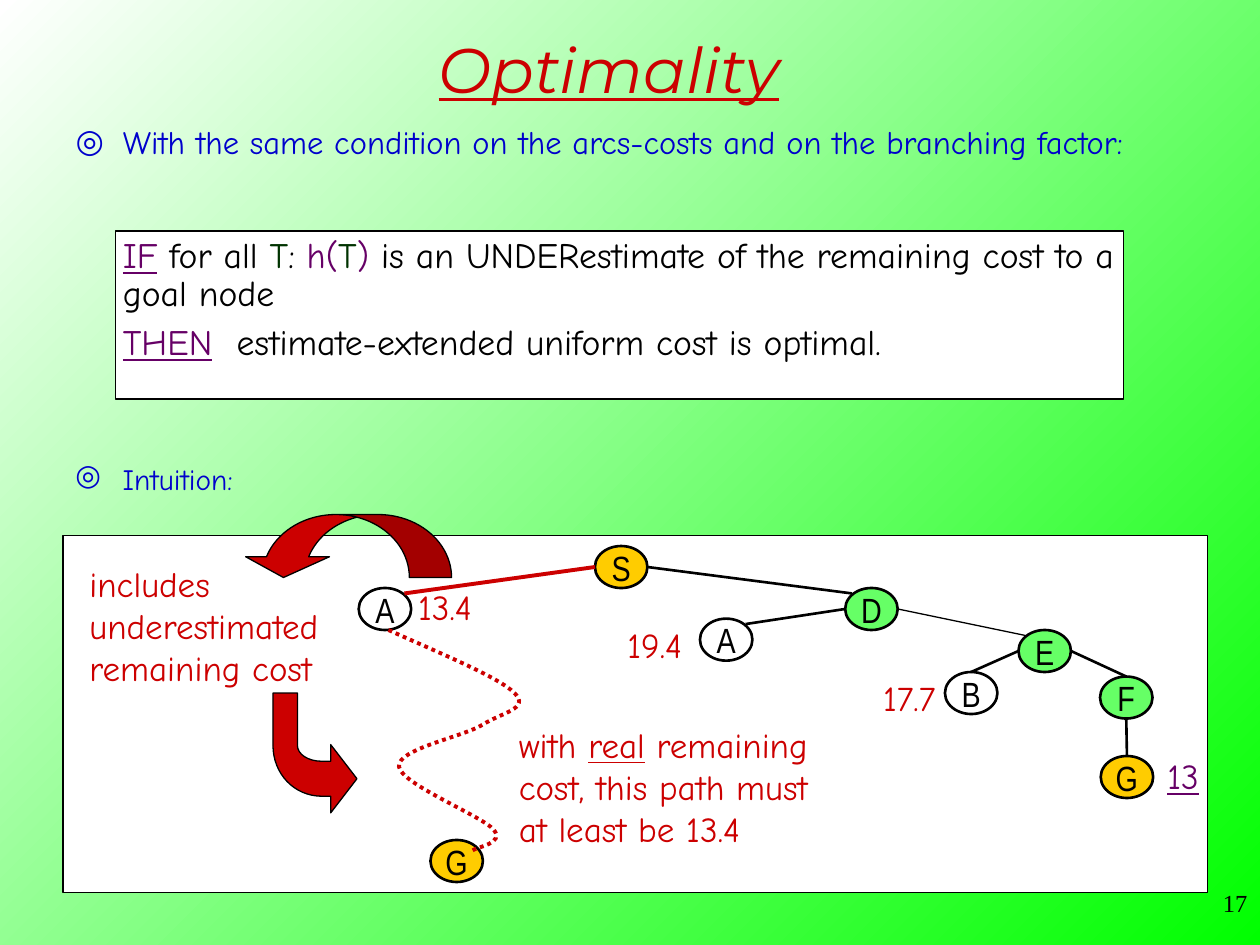
from lxml import etree
from pptx import Presentation
from pptx.dml.color import RGBColor
from pptx.enum.dml import MSO_LINE
from pptx.enum.shapes import MSO_CONNECTOR, MSO_SHAPE
from pptx.enum.text import MSO_ANCHOR, MSO_AUTO_SIZE, PP_ALIGN
from pptx.oxml.ns import qn
from pptx.util import Pt

STRAIGHT = MSO_CONNECTOR.STRAIGHT
RECT, OVAL, CURVED_ARROW = MSO_SHAPE.RECTANGLE, MSO_SHAPE.OVAL, MSO_SHAPE.CURVED_UP_ARROW
TOP, MIDDLE = MSO_ANCHOR.TOP, MSO_ANCHOR.MIDDLE
LEFT, CENTER, RIGHT = PP_ALIGN.LEFT, PP_ALIGN.CENTER, PP_ALIGN.RIGHT
NO_FIT = MSO_AUTO_SIZE.NONE
DOTTED = MSO_LINE.ROUND_DOT

BODY, TITLE, NODE, NUMBER = "Comic Neue", "Montserrat", "Arial Narrow", "Times New Roman"
RED, BLUE, PURPLE, DARK_GREEN = "CC0000", "0000CC", "660066", "003300"
BLACK, WHITE, YELLOW, GREEN = "000000", "FFFFFF", "FFCC00", "66FF66"

NODE_W, NODE_H = 30, 24
# Points where an edge meets a node, as fractions of the node's box
ANCHORS = {"left": (0, .5), "right": (1, .5), "top": (.5, 0), "bottom": (.5, 1),
           "top left": (.13, .13), "top right": (.87, .13)}


def rgb(color):
    return RGBColor.from_string(color)


def paint(sp, fill=None, line=BLACK, width=0.75):
    sp.shadow.inherit = False
    if fill:
        sp.fill.solid()
        sp.fill.fore_color.rgb = rgb(fill)
    else:
        sp.fill.background()
    sp.line.color.rgb = rgb(line)
    sp.line.width = Pt(width)


def place(sp, x, y, w, h):
    sp.left, sp.top, sp.width, sp.height = Pt(x), Pt(y), Pt(w), Pt(h)


def write(tf, paras, size, font, color, align=LEFT, anchor=TOP, wrap=True):
    """Each paragraph is a list of runs: (text, color or None, underline)."""
    tf.word_wrap, tf.auto_size, tf.vertical_anchor = wrap, NO_FIT, anchor
    for i, runs in enumerate(paras):
        p = tf.add_paragraph() if i else tf.paragraphs[0]
        p.alignment, p.space_before = align, Pt(0)
        for text, run_color, underline in runs:
            r = p.add_run()
            r.text = text
            r.font.size, r.font.name, r.font.underline = Pt(size), font, underline
            r.font.color.rgb = rgb(run_color or color)


def plain(*lines):
    return [[(line, None, False)] for line in lines]


def text_box(s, x, y, w, h, paras, size=20, font=BODY, color=RED, **options):
    sp = s.shapes.add_textbox(Pt(x), Pt(y), Pt(w), Pt(h))
    write(sp.text_frame, paras, size, font, color, **options)
    return sp.text_frame


def add_bullet(p):
    ppr = p._p.get_or_add_pPr()
    ppr.set("marL", str(Pt(27)))
    ppr.set("indent", str(-Pt(27)))
    clr = etree.SubElement(ppr, qn("a:buClr"))
    etree.SubElement(clr, qn("a:srgbClr"), val=BLUE)
    etree.SubElement(ppr, qn("a:buChar"), char="◎")


def curve(s, x, y, segments, close=False):
    """Each segment has 2 numbers (a line) or 6 (a Bézier curve)."""
    points = [seg[i:i + 2] for seg in segments for i in range(0, len(seg), 2)]
    fb = s.shapes.build_freeform(Pt(x), Pt(y))
    fb.add_line_segments([(Pt(x + dx), Pt(y + dy)) for dx, dy in points], close=close)
    sp = fb.convert_to_shape()
    steps = iter(sp._element.xpath(".//a:lnTo"))
    for seg in segments:
        step = next(steps)
        if len(seg) == 6:
            step.tag = qn("a:cubicBezTo")
            for _ in range(2):
                extra = next(steps)
                step.append(extra[0])
                extra.getparent().remove(extra)
    return sp


def background(s):
    fill = s.background.fill
    fill.gradient()
    fill.gradient_angle = 135
    for stop, color in zip(fill.gradient_stops, ("00FF00", WHITE)):
        stop.color.rgb = rgb(color)


def heading(s, x, y, w, h):
    sp = s.shapes.title
    place(sp, x, y, w, h)
    write(sp.text_frame, [[("Optimality", None, True)]], 36, TITLE, RED, CENTER, MIDDLE)
    sp.text_frame.paragraphs[0].runs[0].font.italic = True


def condition(s, x, y, w, h):
    sp = s.placeholders[1]
    place(sp, x, y, w, h)
    add_bullet(sp.text_frame.paragraphs[0])
    write(sp.text_frame, plain("With the same condition on the arcs-costs and on the "
                               "branching factor:"), 18.6, BODY, BLUE)


def theorem(s, x, y, w, h):
    paint(s.shapes.add_shape(RECT, Pt(x), Pt(y), Pt(w), Pt(h)), WHITE)
    paras = [
        [("IF", PURPLE, True), (" for all ", None, False), ("T", DARK_GREEN, False),
         (": ", None, False), ("h(", PURPLE, False), ("T", DARK_GREEN, False),
         (")", PURPLE, False),
         (" is an UNDERestimate of the remaining cost to a goal node", None, False)],
        [("THEN", PURPLE, True),
         ("\testimate-extended uniform cost is optimal.", None, False)],
    ]
    tf = text_box(s, x - 30, y, 624, 90, paras, 20.4, BODY, BLACK)
    tf.margin_left = Pt(34.2)
    for p in tf.paragraphs:
        p.line_spacing = 0.9
    then = tf.paragraphs[1]
    then.space_before = Pt(6)
    tabs = etree.SubElement(then._p.get_or_add_pPr(), qn("a:tabLst"))
    etree.SubElement(tabs, qn("a:tab"), pos=str(Pt(65)), algn="l")


def intuition(s, x, y, w, h):
    tf = text_box(s, x, y, w, h, plain("Intuition:"), 16.8, BODY, BLUE)
    add_bullet(tf.paragraphs[0])
    tf.paragraphs[0].line_spacing = 0.8


def search_tree(s, x, y, w, h):
    paint(s.shapes.add_shape(RECT, Pt(x), Pt(y), Pt(w), Pt(h)), WHITE)
    nodes = {"S": (304, 6, YELLOW), "A": (169, 30, WHITE), "D": (447, 30, GREEN),
             "A2": (364, 47.5, WHITE), "E": (546, 54, GREEN), "B": (504, 78, WHITE),
             "F": (592.6, 80.6, GREEN), "G": (593, 126, YELLOW), "G2": (210, 174, YELLOW)}
    for name, (dx, dy, fill) in nodes.items():
        sp = s.shapes.add_shape(OVAL, Pt(x + dx), Pt(y + dy), Pt(NODE_W), Pt(NODE_H))
        paint(sp, fill, width=1.5)
        write(sp.text_frame, plain(name[0]), 20, NODE, BLACK, CENTER, MIDDLE, False)

    def anchor(name, side):
        fx, fy = ANCHORS[side]
        return Pt(x + nodes[name][0] + fx * NODE_W), Pt(y + nodes[name][1] + fy * NODE_H)

    for parent, side, child, end, color, width in (
            ("S", "left", "A", "top right", RED, 2.25),
            ("S", "right", "D", "top left", BLACK, 1.5),
            ("D", "left", "A2", "top right", BLACK, 1.5),
            ("D", "right", "E", "top left", BLACK, 0.75),
            ("E", "left", "B", "top", BLACK, 1.5),
            ("E", "right", "F", "top", BLACK, 1.5),
            ("F", "bottom", "G", "top", BLACK, 1.5)):
        edge = s.shapes.add_connector(STRAIGHT, *anchor(parent, side), *anchor(child, end))
        edge.line.color.rgb = rgb(color)
        edge.line.width = Pt(width)
        etree.SubElement(edge._element.spPr, qn("a:effectLst"))

    for cost, dx, dy, color, underline in (
            ("13.4", 195.8, 25.2, RED, False), ("19.4", 315.4, 46.8, RED, False),
            ("17.7", 461.5, 77, RED, False), ("13", 624, 121.7, PURPLE, True)):
        text_box(s, x + dx, y + dy, 12 + 8.4 * len(cost), 31.7,
                 [[(cost, color, underline)]], wrap=False)


def remaining_cost(s, x, y):
    """Notes, arrows and dotted path over the tree panel at x, y."""
    text_box(s, x + 8, y + 12, 146, 79,
             plain("includes", "underestimated", "remaining cost"), wrap=False)
    arrow = s.shapes.add_shape(CURVED_ARROW, Pt(x + 102), Pt(y - 12), Pt(120), Pt(36))
    arrow.rotation = 180
    for i, value in enumerate((0.67, 1.33, 0.33)):
        arrow.adjustments[i] = value
    paint(arrow, RED)

    trail = curve(s, x + 186, y + 54, [
        (31, 14, 63, 27, 72, 36), (81, 45, 65, 47, 54, 54), (43, 61, 5, 68, 6, 78),
        (7, 88, 53, 106, 60, 114), (67, 122, 50, 124, 48, 126)])
    paint(trail, line=RED, width=2.25)
    trail.line.dash_style = DOTTED

    paras = plain("with ", "cost, this path must", "at least be 13.4")
    paras[0] += [("real", None, True), (" remaining", None, False)]
    text_box(s, x + 253.4, y + 103.7, 180, 79, paras, wrap=False)

    bend = curve(s, x + 120, y + 90, [
        (0, 30), (0, 46, 12, 59, 28, 59), (33, 59), (33, 68.5), (48, 49), (33, 29.5),
        (33, 39), (28, 39), (20, 39, 14, 35, 14, 30), (14, 0)], close=True)
    paint(bend, RED)


def main():
    prs = Presentation()
    prs.slide_width, prs.slide_height = Pt(720), Pt(540)
    s = prs.slides.add_slide(prs.slide_layouts[1])
    background(s)
    heading(s, 42, -6, 612, 90)
    condition(s, 36, 66, 624, 54)
    theorem(s, 66, 132, 576, 96)
    intuition(s, 36, 264, 624, 30)
    search_tree(s, 36, 306, 654, 204)
    remaining_cost(s, 36, 306)
    text_box(s, 570, 504, 150, 36, plain("17"), 14, NUMBER, BLACK, align=RIGHT)
    prs.save("out.pptx")


if __name__ == "__main__":
    main()
